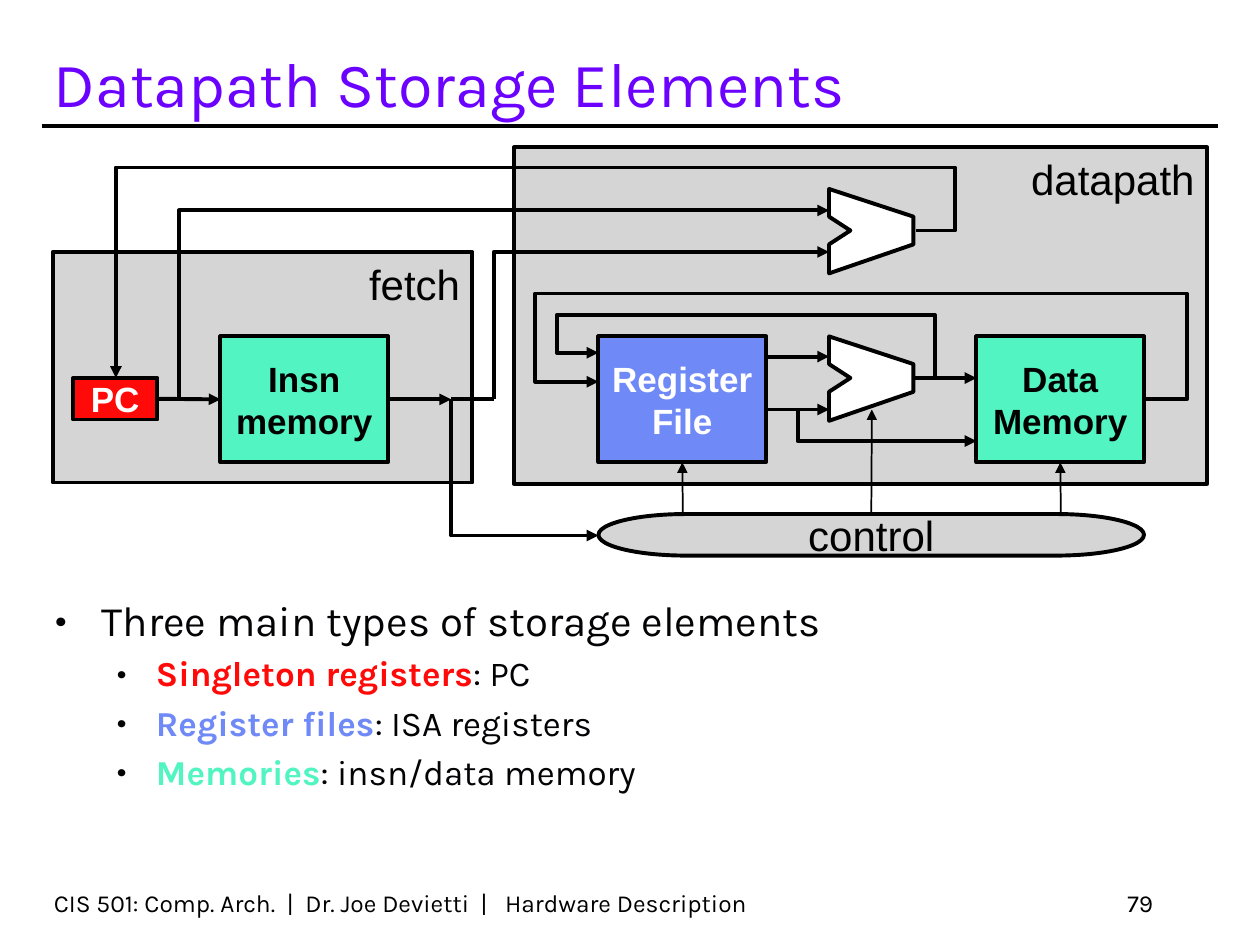
from lxml.etree import SubElement
from pptx import Presentation
from pptx.dml.color import RGBColor
from pptx.enum.shapes import MSO_CONNECTOR, MSO_SHAPE
from pptx.enum.text import MSO_ANCHOR as ANCHOR, PP_ALIGN as ALIGN
from pptx.oxml.ns import qn
from pptx.util import Inches, Pt

BLACK = RGBColor(0x00, 0x00, 0x00)
WHITE = RGBColor(0xFF, 0xFF, 0xFF)
INK = RGBColor(0x03, 0x03, 0x05)
PURPLE = RGBColor(0x6B, 0x02, 0xFF)
GRAY = RGBColor(0xD5, 0xD5, 0xD5)
RED = RGBColor(0xFF, 0x09, 0x09)
BLUE = RGBColor(0x6F, 0x89, 0xF7)
GREEN = RGBColor(0x52, 0xF4, 0xC2)
THICK, THIN = 2.25, 1

deck = Presentation()
deck.slide_width, deck.slide_height = Inches(10), Inches(7.5)
page = deck.slides.add_slide(deck.slide_layouts[6])
shapes = page.shapes


def draw_outline(shape, width=THICK, arrow=False):
    """Black line without shadow, with an optional arrowhead at its end."""
    shape.line.color.rgb = BLACK
    shape.line.width = Pt(width)
    if arrow:
        SubElement(shape.line._get_or_add_ln(), qn("a:tailEnd"), type="triangle")
    SubElement(shape._element.spPr, qn("a:effectLst"))


def write_text(shape, lines, size, font, color, bold=False, align=ALIGN.LEFT,
               anchor=ANCHOR.TOP, wrap=False):
    frame = shape.text_frame
    frame.word_wrap = wrap
    frame.vertical_anchor = anchor
    frame.text = lines
    for para in frame.paragraphs:
        para.alignment = align
        para.font.size = Pt(size)
        para.font.name = font
        para.font.bold = bold
        para.font.color.rgb = color


# Title, footer and slide number
for text, left, top, width, height, size, color, align in [
    ("Datapath Storage Elements", 0.33, 0.25, 9.33, 0.75, 36, PURPLE, ALIGN.LEFT),
    ("CIS 501: Comp. Arch.  |  Dr. Joe Devietti  |   Hardware Description",
     0.33, 7, 6.25, 0.33, 14, BLACK, ALIGN.LEFT),
    ("79", 7.17, 7, 2.08, 0.33, 14, BLACK, ALIGN.RIGHT),
]:
    box = shapes.add_textbox(Inches(left), Inches(top), Inches(width), Inches(height))
    write_text(box, text, size, "Karla", color, align=align, anchor=ANCHOR.BOTTOM, wrap=True)

# Bulleted list
box = shapes.add_textbox(Inches(0.33), Inches(4.67), Inches(9.33), Inches(2.17))
frame = box.text_frame
frame.word_wrap = True
for number, (term, rest, color) in enumerate([
    ("", "Three main types of storage elements", INK),
    ("Singleton registers", ": PC", RED),
    ("Register files", ": ISA registers", BLUE),
    ("Memories", ": insn/data memory", GREEN),
]):
    para = frame.add_paragraph() if number else frame.paragraphs[0]
    para.level = 1 if term else 0
    properties = para._p.get_or_add_pPr()
    margin, indent = (0.81, -0.31) if term else (0.38, -0.37)
    properties.set("marL", str(Inches(margin)))
    properties.set("indent", str(Inches(indent)))
    bullet_color = SubElement(properties, qn("a:buClr"))
    SubElement(bullet_color, qn("a:srgbClr"), val=str(INK))
    SubElement(properties, qn("a:buFont"), typeface="Karla")
    SubElement(properties, qn("a:buChar"), char="•")
    para.space_before = Pt(4 if term else 0)
    para.font.size = Pt(20 if term else 24)
    para.font.name = "Karla"
    para.font.color.rgb = INK
    if term:
        span = para.add_run()
        span.text = term
        span.font.bold = True
        span.font.color.rgb = color
    para.add_run().text = rest

# Panels, storage elements and control
blocks = {}
for name, kind, left, top, width, height, fill, text, size, color in [
    ("fetch", MSO_SHAPE.RECTANGLE, 0.42, 2, 3.33, 1.83, GRAY, "", 24, BLACK),
    ("datapath", MSO_SHAPE.RECTANGLE, 4.08, 1.17, 5.5, 2.67, GRAY, "", 24, BLACK),
    ("pc", MSO_SHAPE.RECTANGLE, 0.58, 3, 0.67, 0.33, RED, "PC", 20, WHITE),
    ("insn", MSO_SHAPE.RECTANGLE, 1.75, 2.67, 1.33, 1, GREEN, "Insn\nmemory", 20, BLACK),
    ("registers", MSO_SHAPE.RECTANGLE, 4.75, 2.67, 1.33, 1, BLUE, "Register\nFile", 20, WHITE),
    ("data", MSO_SHAPE.RECTANGLE, 7.75, 2.67, 1.33, 1, GREEN, "Data\nMemory", 20, BLACK),
    ("control", MSO_SHAPE.FLOWCHART_TERMINATOR, 4.75, 4.08, 4.33, 0.33, GRAY,
     "control", 24, BLACK),
]:
    block = shapes.add_shape(kind, Inches(left), Inches(top), Inches(width), Inches(height))
    block.fill.solid()
    block.fill.fore_color.rgb = fill
    draw_outline(block)
    if text:
        write_text(block, text, size, "Arial", color, bold=size == 20,
                   align=ALIGN.CENTER, anchor=ANCHOR.MIDDLE)
    blocks[name] = block

# Panel labels, right-aligned to the panel edges with room to spare
for text, right, top, width in [("datapath", 9.58, 1.17, 1.7), ("fetch", 3.75, 2, 1.1)]:
    box = shapes.add_textbox(Inches(right - width), Inches(top), Inches(width), Inches(0.5))
    write_text(box, text, 24, "Arial", BLACK, align=ALIGN.RIGHT, wrap=True)

# Bent wires
for start, *corners in [
    [(9.08, 3.17), (9.42, 3.17), (9.42, 2.33), (4.25, 2.33), (4.25, 3.03), (4.75, 3.03)],
    [(3.58, 3.17), (3.58, 4.25), (4.75, 4.25)],
    [(1.42, 3.17), (1.42, 1.67), (6.58, 1.67)],
    [(3.92, 3.17), (3.92, 2), (6.58, 2)],
    [(7.27, 1.83), (7.58, 1.83), (7.58, 1.33), (0.92, 1.33), (0.92, 3)],
    [(7.42, 3), (7.42, 2.5), (4.42, 2.5), (4.42, 2.8), (4.75, 2.8)],
    [(6.33, 3.25), (6.33, 3.5), (7.75, 3.5)],
]:
    builder = shapes.build_freeform(Inches(start[0]), Inches(start[1]))
    builder.add_line_segments([(Inches(x), Inches(y)) for x, y in corners], close=False)
    wire = builder.convert_to_shape()
    wire.fill.background()
    draw_outline(wire, arrow=True)

# Adder and ALU: notched trapezoids
for top in (1.5, 2.67):
    builder = shapes.build_freeform(Inches(6.58), Inches(top))
    builder.add_line_segments([
        (Inches(x), Inches(top + drop)) for x, drop in
        [(7.25, 0.22), (7.25, 0.44), (6.58, 0.67), (6.58, 0.44), (6.75, 0.33), (6.58, 0.22)]
    ])
    unit = builder.convert_to_shape()
    unit.fill.solid()
    unit.fill.fore_color.rgb = WHITE
    draw_outline(unit)

# Straight wires; each joined end is a block and its side
for x1, y1, x2, y2, width, arrow, begin, end in [
    (0.33, 1, 9.67, 1, THICK, False, None, None),
    (1.25, 3.17, 1.75, 3.17, THICK, True, ("pc", 3), ("insn", 1)),
    (3.08, 3.17, 3.58, 3.17, THICK, True, ("insn", 3), None),
    (3.58, 3.17, 3.92, 3.17, THICK, False, None, None),
    (6.08, 2.83, 6.58, 2.83, THICK, True, None, None),
    (6.08, 3.25, 6.58, 3.25, THICK, True, None, None),
    (7.25, 3, 7.75, 3, THICK, True, None, None),
    (5.42, 4.08, 5.42, 3.67, THIN, True, None, ("registers", 2)),
    (6.92, 4.08, 6.92, 3.25, THIN, True, ("control", 0), None),
    (8.42, 4.08, 8.42, 3.67, THIN, True, None, ("data", 2)),
]:
    wire = shapes.add_connector(MSO_CONNECTOR.STRAIGHT, Inches(x1), Inches(y1),
                                Inches(x2), Inches(y2))
    if begin:
        wire.begin_connect(blocks[begin[0]], begin[1])
    if end:
        wire.end_connect(blocks[end[0]], end[1])
    draw_outline(wire, width, arrow)

deck.save("out.pptx")
